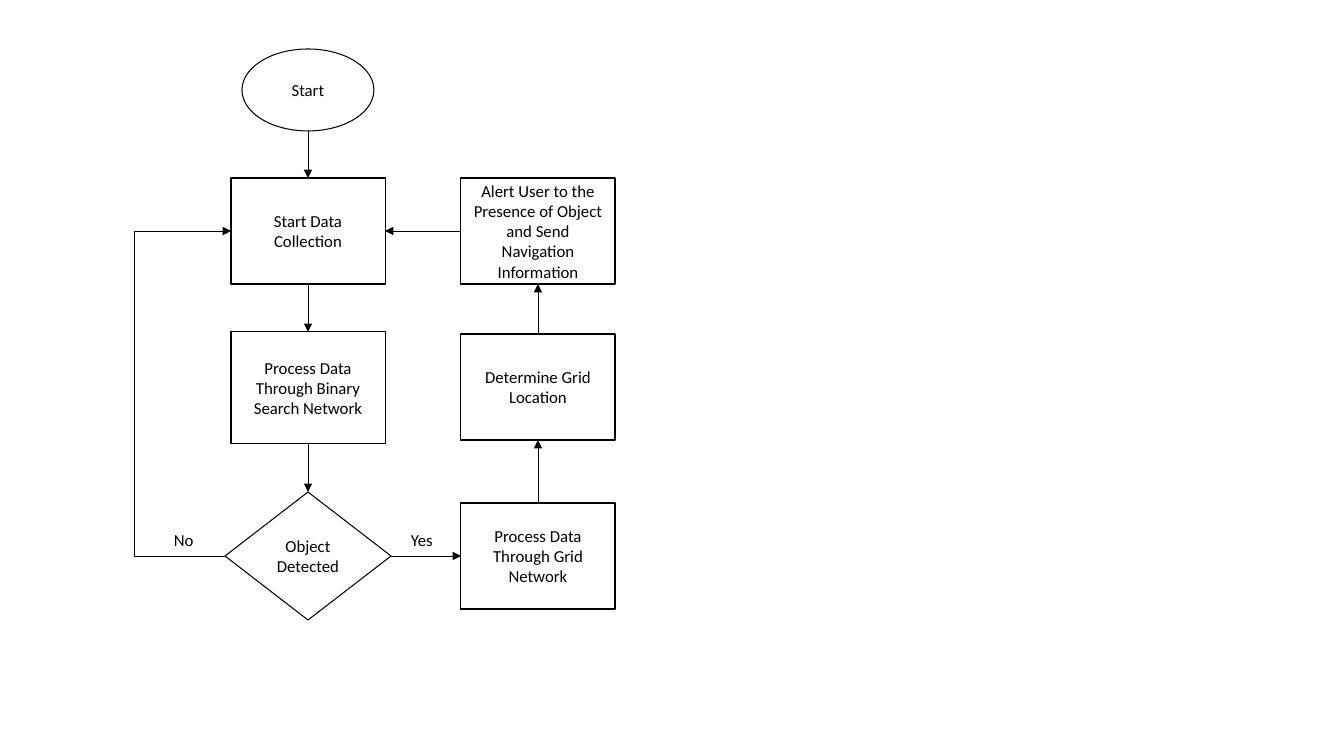
from lxml.etree import SubElement
from pptx import Presentation
from pptx.dml.color import RGBColor
from pptx.enum.shapes import MSO_CONNECTOR as Link, MSO_SHAPE as Shape
from pptx.enum.text import MSO_ANCHOR as Anchor, MSO_AUTO_SIZE as AutoSize, PP_ALIGN as Align
from pptx.oxml.ns import qn
from pptx.util import Pt

SCALE = 914400 / 100.8
BLACK = "000000"
MAIN, GRID = 308, 538
LOOP_X = 134
TOP, LEFT, BOTTOM, RIGHT = range(4)
OVAL_BOTTOM = "4"

STEPS = {
    "start": ("Start", Shape.OVAL, MAIN, 49, 132, 82),
    "collect": ("Start Data Collection", Shape.FLOWCHART_PROCESS, MAIN, 178, 154, 106),
    "search": ("Process Data Through Binary Search Network",
               Shape.FLOWCHART_PROCESS, MAIN, 332, 154, 112),
    "detected": ("Object Detected", Shape.FLOWCHART_DECISION, MAIN, 492, 166, 128),
    "network": ("Process Data Through Grid Network",
                Shape.FLOWCHART_PROCESS, GRID, 503, 154, 106),
    "locate": ("Determine Grid Location", Shape.FLOWCHART_PROCESS, GRID, 334, 154, 106),
    "alert": ("Alert User to the Presence of Object and Send Navigation Information",
              Shape.FLOWCHART_PROCESS, GRID, 178, 154, 106),
}
FLOWS = [
    ("start", BOTTOM, "collect", TOP),
    ("collect", BOTTOM, "search", TOP),
    ("search", BOTTOM, "detected", TOP),
    ("detected", RIGHT, "network", LEFT),
    ("network", TOP, "locate", BOTTOM),
    ("locate", TOP, "alert", BOTTOM),
    ("alert", LEFT, "collect", RIGHT),
]
ANSWERS = [("No", 164, 525, 40, 30), ("Yes", 401, 525, 42, 30)]


def px(length):
    return round(length * SCALE)


def color(value):
    return RGBColor.from_string(value)


def write(frame, text, size=12, font="Calibri", fill=BLACK, align=Align.CENTER,
          anchor=Anchor.MIDDLE, wrap=True, fit=AutoSize.NONE):
    frame.word_wrap = wrap
    frame.auto_size = fit
    frame.vertical_anchor = anchor
    paragraph = frame.paragraphs[0]
    paragraph.alignment = align
    run = paragraph.add_run()
    run.text = text
    run.font.size = Pt(size)
    run.font.name = font
    run.font.color.rgb = color(fill)


def add_step(text, outline, center, top, width, height):
    step = slide.shapes.add_shape(
        outline, px(center - width / 2), px(top), px(width), px(height))
    step.shadow.inherit = False
    step.fill.background()
    step.line.color.rgb = color(BLACK)
    step.line.width = Pt(0.75)
    write(step.text_frame, text)
    return step


def add_flow(source, source_side, target, target_side, kind=Link.STRAIGHT):
    flow = slide.shapes.add_connector(kind, 0, 0, 0, 0)
    flow.begin_connect(steps[source], source_side)
    flow.end_connect(steps[target], target_side)
    flow.line.color.rgb = color(BLACK)
    flow.line.width = Pt(0.5)
    SubElement(flow.line._get_or_add_ln(), qn("a:tailEnd"), type="triangle")
    SubElement(flow._element.spPr, qn("a:effectLst"))
    if STEPS[source][1] == Shape.OVAL:
        flow._element.xpath(".//a:stCxn")[0].set("idx", OVAL_BOTTOM)
    return flow


def bend(flow, x):
    ratio = (px(x) - flow.begin_x) / (flow.end_x - flow.begin_x)
    guides = flow._element.xpath(".//a:prstGeom")[0].get_or_add_avLst()
    SubElement(guides, qn("a:gd"), name="adj1", fmla=f"val {round(ratio * 100000)}")
    frame = flow._element.xpath(".//a:xfrm")[0]
    frame.attrib.pop("flipV")
    frame.set("rot", "10800000")
    frame.set("flipH", "1")


deck = Presentation()
deck.slide_width, deck.slide_height = px(1344), px(756)
slide = deck.slides.add_slide(deck.slide_layouts[6])

steps = {key: add_step(*step) for key, step in STEPS.items()}
for link in FLOWS:
    add_flow(*link)
bend(add_flow("detected", LEFT, "collect", LEFT, kind=Link.ELBOW), LOOP_X)

for answer, *box in ANSWERS:
    label = slide.shapes.add_textbox(*map(px, box))
    write(label.text_frame, answer, align=Align.LEFT, anchor=Anchor.TOP,
          wrap=False, fit=AutoSize.SHAPE_TO_FIT_TEXT)

deck.save("out.pptx")
